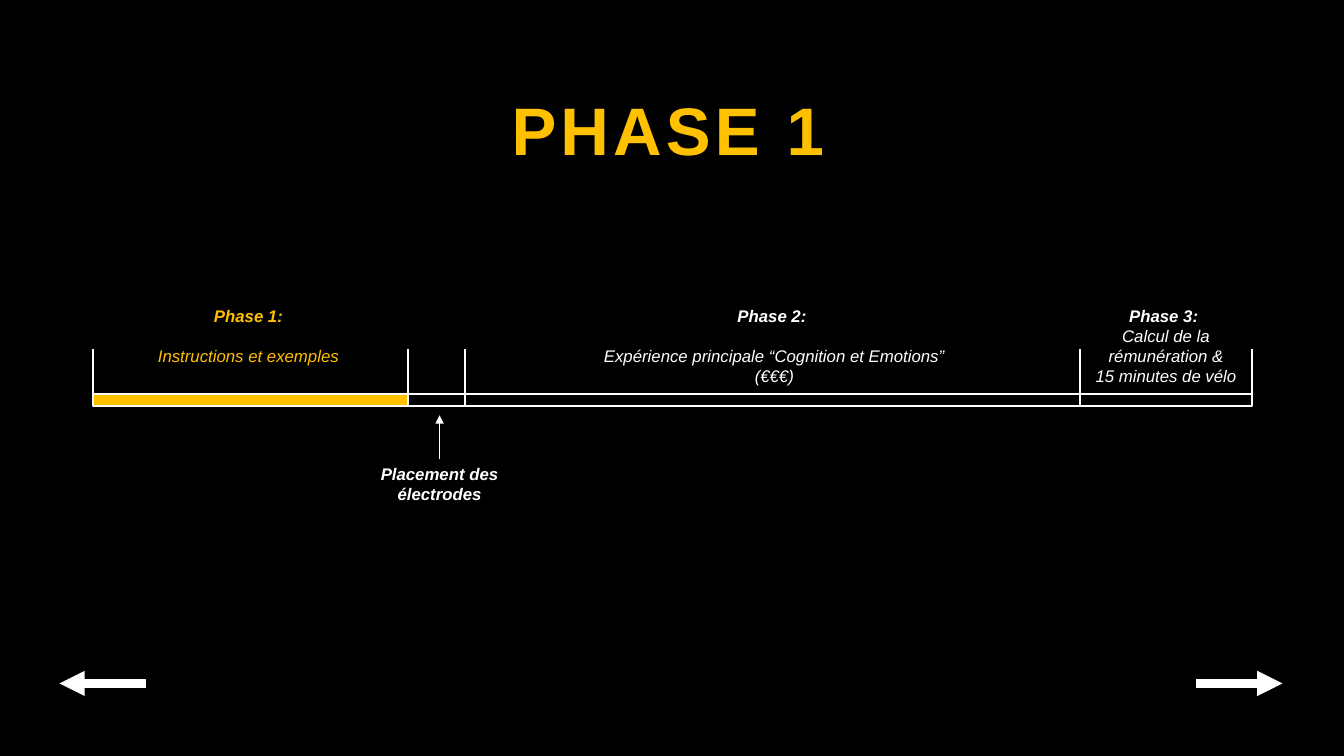
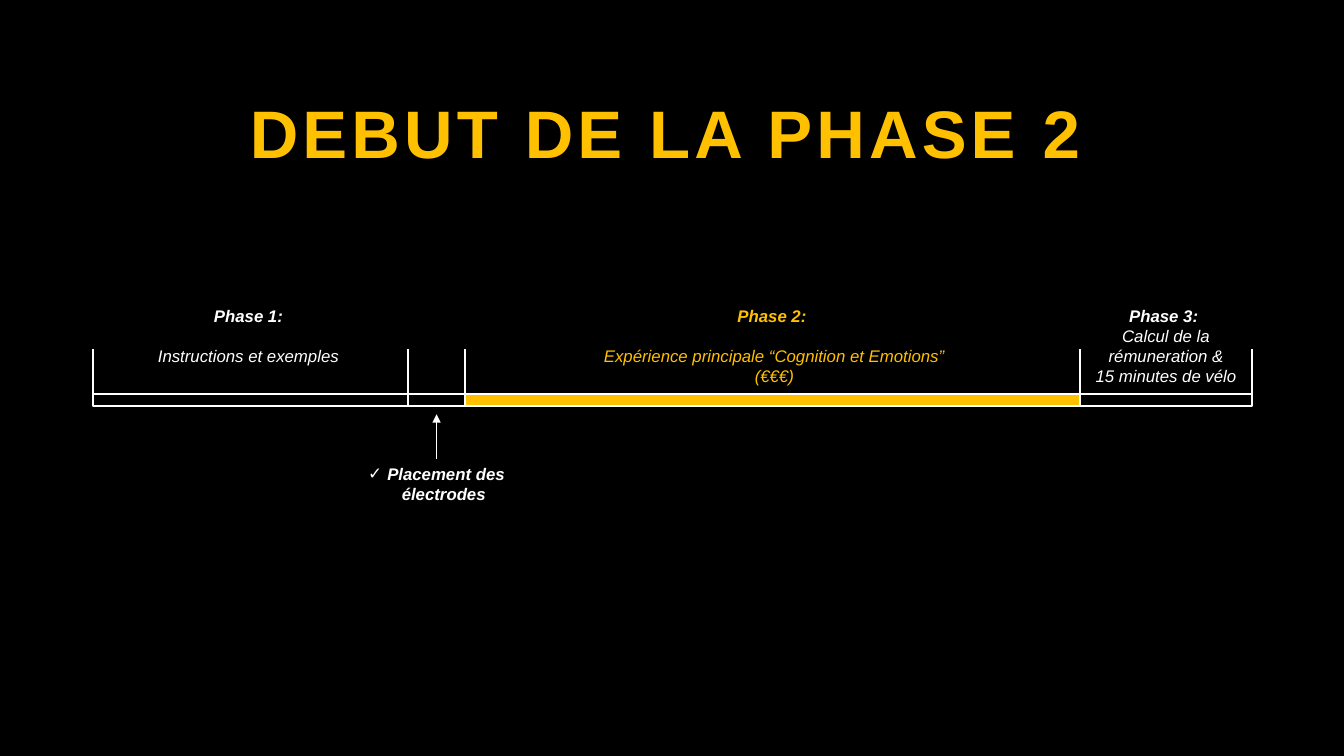
from copy import deepcopy
from pptx import Presentation
from pptx.dml.color import RGBColor
from pptx.enum.shapes import MSO_CONNECTOR, MSO_SHAPE
from pptx.enum.text import MSO_AUTO_SIZE, PP_ALIGN
from pptx.oxml.ns import qn
from pptx.util import Inches, Pt
from lxml.etree import SubElement

WHITE, GOLD, BLACK = "FFFFFF", "FFC000", "000000"
FACE = "Arial"
WIDE = 13.33
START, END = 0.92, 12.42
TOP, BAR, HIGH = 3.46, 3.91, 0.12
TICKS = [START, 4.05, 4.61, 10.71, END]


def color(code):
    return RGBColor.from_string(code)


def write(text, page, box, size=12, tint=WHITE, bold=True, slant=True,
          align=PP_ALIGN.CENTER, wrap=True, track=0, gap=0, mark=None):
    frame = page.shapes.add_textbox(*map(Inches, box)).text_frame
    frame.word_wrap = wrap
    frame.auto_size = MSO_AUTO_SIZE.SHAPE_TO_FIT_TEXT
    for row, line in enumerate(text.split("\n")):
        para = frame.paragraphs[0] if row == 0 else frame.add_paragraph()
        para.text = line
        para.alignment = align
        if row == 0 and gap:
            para.space_after = Pt(gap)
        for run in para.runs:
            font = run.font
            font.name, font.size = FACE, Pt(size)
            font.bold, font.italic = bold and row == 0, slant
            font.color.rgb = color(tint)
            if track:
                run._r.get_or_add_rPr().set("spc", str(track * 100))
        for cut in para._p.findall(qn("a:br")):
            cut.append(deepcopy(para.runs[0]._r.rPr))
        if mark:
            props = para._p.get_or_add_pPr()
            props.set("marL", str(Inches(0.19)))
            props.set("indent", str(-Inches(0.19)))
            SubElement(props, qn("a:buFont")).set("typeface", FACE)
            SubElement(props, qn("a:buChar")).set("char", mark)


deck = Presentation()
deck.slide_width, deck.slide_height = Inches(WIDE), Inches(7.5)

plans = [
    dict(title="PHASE 1", top=0.83, width=3.38, now=1, span=(START, 4.05),
         pay="rémunération", spot=4.36, label=1.38, mark=None, tip=4.12,
         note="Placement des\vélectrodes",
         moves=[(11.86, 12.72), (1.45, 0.59)]),
    dict(title="DEBUT DE LA PHASE 2", top=0.86, width=8.57, now=2,
         span=(4.61, 10.71), pay="rémuneration", spot=4.33, label=1.57,
         mark="✓", tip=4.11, note="Placement des\vélectrodes ", moves=[]),
]

for plan in plans:
    page = deck.slides.add_slide(deck.slide_layouts[6])
    page.background.fill.solid()
    page.background.fill.fore_color.rgb = color(BLACK)

    for (left, right), solid in ((plan["span"], True), ((START, END), False)):
        bar = page.shapes.add_shape(MSO_SHAPE.RECTANGLE, Inches(left), Inches(BAR),
                                    Inches(right - left), Inches(HIGH))
        bar.shadow.inherit = False
        if solid:
            bar.fill.solid()
            bar.fill.fore_color.rgb = color(GOLD)
            bar.line.fill.background()
        else:
            bar.fill.background()
            bar.line.color.rgb = color(WHITE)
            bar.line.width = Pt(1.5)

    lines = [(x, TOP, x, BAR + HIGH, 1.5, False) for x in TICKS]
    lines += [(a, 6.78, b, 6.78, 6, True) for a, b in plan["moves"]]
    lines.append((plan["spot"], 4.55, plan["spot"], plan["tip"], 0.5, True))
    for *ends, weight, head in lines:
        line = page.shapes.add_connector(MSO_CONNECTOR.STRAIGHT, *map(Inches, ends))
        line.line.color.rgb = color(WHITE)
        line.line.width = Pt(weight)
        if head:
            SubElement(line.line._get_or_add_ln(), qn("a:tailEnd")).set("type", "triangle")
        SubElement(line._element.spPr, qn("a:effectLst"))

    write(plan["title"], page, ((WIDE - plan["width"]) / 2, plan["top"], plan["width"], 0.91),
          size=48, tint=GOLD, slant=False, align=PP_ALIGN.LEFT, wrap=False, track=3)

    phases = [
        ("Phase 1:\nInstructions et exemples", 1.05, 2.83, 0.71, 14.4),
        ("Phase 2: \nExpérience principale “Cognition et Emotions”\n(€€€)",
         4.12, 7.12, 0.91, 14.4),
        (f"Phase 3: \nCalcul de la {plan['pay']} &\n15 minutes de vélo",
         END - 1.71, 1.71, 0.91, 0),
    ]
    for step, (text, left, width, height, gap) in enumerate(phases, 1):
        write(text, page, (left, 2.98, width, height), gap=gap,
              tint=GOLD if step == plan["now"] else WHITE)

    write(plan["note"], page,
          (plan["spot"] - plan["label"] / 2, 4.55, plan["label"], 0.5),
          wrap=False, mark=plan["mark"])

deck.save("out.pptx")
